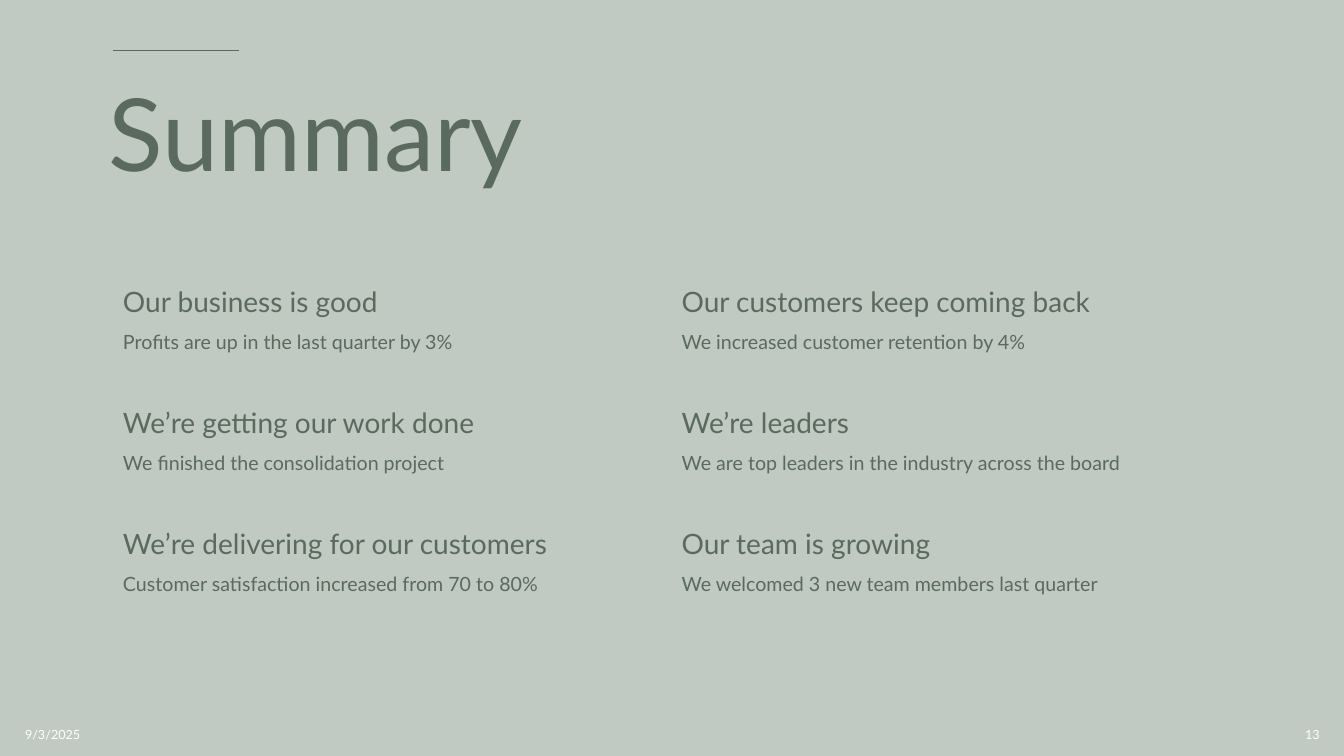
from dataclasses import dataclass

from lxml.etree import SubElement
from pptx import Presentation
from pptx.dml.color import RGBColor as Color
from pptx.enum.shapes import MSO_CONNECTOR as Connector
from pptx.enum.text import MSO_ANCHOR as Anchor, PP_ALIGN as Align
from pptx.oxml.ns import qn
from pptx.slide import Slide
from pptx.text.text import _Paragraph as Paragraph
from pptx.util import Pt

COLORS = {"background": "C0C9C2", "ink": "5B6A5E", "footer": "FFFFFF"}
FONT = "Lato"
NO_STYLE_NO_GRID = "{2D5ABB26-0587-4C30-8999-92F81FD0307C}"

TABLE_LEFT, TABLE_TOP = 80.64, 202.3
COLUMN_WIDTH, ROW_HEIGHT = 399, 86.4


@dataclass
class Label:
    text: str
    left: float
    top: float
    width: float
    height: float
    size: float
    color: str
    align: Align = Align.LEFT
    line_spacing: float = 1.0


@dataclass
class Point:
    heading: str
    detail: str


LABELS = [
    Label("Summary", 70.5, 45.4, 800, 108, 72, "ink", line_spacing=0.9),
    Label("9/3/2025", 10.8, 510.5, 216, 28.8, 9, "footer"),
    Label("13", 733.7, 510.5, 216, 28.8, 9, "footer", Align.RIGHT),
]

POINTS = [
    [Point("Our business is good", "Profits are up in the last quarter by 3%"),
     Point("Our customers keep coming back", "We increased customer retention by 4%")],
    [Point("We’re getting our work done", "We finished the consolidation project"),
     Point("We’re leaders", "We are top leaders in the industry across the board")],
    [Point("We’re delivering for our customers", "Customer satisfaction increased from 70 to 80%"),
     Point("Our team is growing", "We welcomed 3 new team members last quarter")],
]


def write(para: Paragraph, text: str, size: float, color: str, line_spacing: float) -> None:
    para.text = text
    para.line_spacing = line_spacing
    para.font.name = FONT
    para.font.size = Pt(size)
    para.font.color.rgb = Color.from_string(COLORS[color])


def add_label(page: Slide, label: Label) -> None:
    box = page.shapes.add_textbox(
        Pt(label.left), Pt(label.top), Pt(label.width), Pt(label.height))
    frame = box.text_frame
    frame.word_wrap = True
    frame.vertical_anchor = Anchor.MIDDLE
    para = frame.paragraphs[0]
    para.alignment = label.align
    write(para, label.text, label.size, label.color, label.line_spacing)


def add_accent_line(page: Slide) -> None:
    line = page.shapes.add_connector(
        Connector.STRAIGHT, Pt(80.64), Pt(36), Pt(170.64), Pt(36))
    line.line.color.rgb = Color.from_string(COLORS["ink"])
    line.line.width = Pt(1.25)
    SubElement(line._element.spPr, qn("a:effectLst"))


def add_points_table(page: Slide, points: list[list[Point]]) -> None:
    rows, columns = len(points), len(points[0])
    holder = page.shapes.add_table(
        rows, columns, Pt(TABLE_LEFT), Pt(TABLE_TOP),
        Pt(columns * COLUMN_WIDTH), Pt(rows * ROW_HEIGHT))
    table = holder.table
    table.first_row = table.horz_banding = False
    table._tbl.tblPr.find(qn("a:tableStyleId")).text = NO_STYLE_NO_GRID
    for row_index, row in enumerate(points):
        for column_index, point in enumerate(row):
            cell = table.cell(row_index, column_index)
            cell.fill.background()
            frame = cell.text_frame
            write(frame.paragraphs[0], point.heading, 20, "ink", 0.9)
            detail = frame.add_paragraph()
            detail.space_before = Pt(10)
            write(detail, point.detail, 14, "ink", 0.9)


def main() -> None:
    deck = Presentation()
    deck.slide_width, deck.slide_height = Pt(960), Pt(540)
    page = deck.slides.add_slide(deck.slide_layouts[6])

    # Background and accent line
    page.background.fill.solid()
    page.background.fill.fore_color.rgb = Color.from_string(COLORS["background"])
    add_accent_line(page)

    # Title and footer
    for label in LABELS:
        add_label(page, label)

    # Summary points
    add_points_table(page, POINTS)

    deck.save("out.pptx")


if __name__ == "__main__":
    main()
